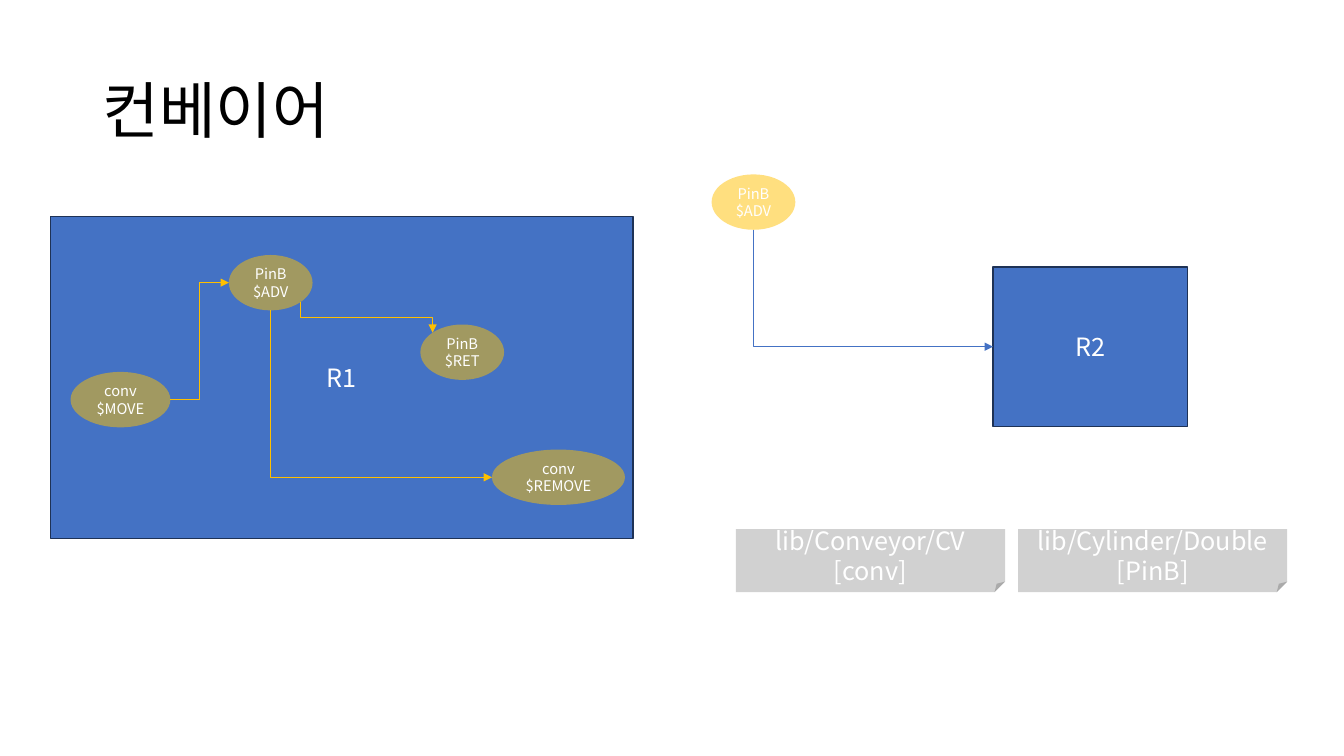
from lxml import etree
from pptx import Presentation
from pptx.dml.color import RGBColor
from pptx.enum.shapes import MSO_CONNECTOR as Connector, MSO_SHAPE as Shape
from pptx.enum.text import MSO_ANCHOR as Anchor, PP_ALIGN as Align
from pptx.oxml.ns import qn
from pptx.util import Inches, Pt

FONT = "Noto Sans CJK KR"
BLUE, NAVY, AMBER, GREY = "4472C4", "1E3256", "FFC000", "A5A5A5"
WHITE, BLACK = "FFFFFF", "000000"
# The grid has 100 columns and 100 rows.
COLUMN, ROW = Inches(13.333) / 100, Inches(7.5) / 100
NODE_HEIGHT, PIN_WIDTH = 7.33, 6.23
LEFT, RIGHT, BOTTOM = (0, 0.5), (1, 0.5), (0.5, 1)
UPPER_LEFT, LOWER_RIGHT = (0.146, 0.146), (0.854, 0.854)


def color(value):
    return RGBColor.from_string(value)


def grid(left, top, width, height):
    return [round(n * unit) for n, unit in
            zip((left, top, width, height), (COLUMN, ROW) * 2)]


def write(shape, lines, size, ink=WHITE, align=Align.CENTER, spacing=1.0):
    frame = shape.text_frame
    frame.word_wrap = True
    frame.vertical_anchor = Anchor.MIDDLE
    for index, line in enumerate(lines):
        para = frame.add_paragraph() if index else frame.paragraphs[0]
        para.alignment, para.line_spacing = align, spacing
        span = para.add_run()
        span.text = line
        for name, value in {"name": FONT, "size": Pt(size)}.items():
            setattr(span.font, name, value)
        span.font.color.rgb = color(ink)
        etree.SubElement(span.font._element, qn("a:ea"), typeface=FONT)


def add_block(shapes, preset, cells, lines, fill, size=18, outline=None, opacity=None):
    block = shapes.add_shape(preset, *grid(*cells))
    block.shadow.inherit = False
    block.fill.solid()
    block.fill.fore_color.rgb = color(fill)
    if opacity:
        tint = block.fill._xPr.find(f"{qn('a:solidFill')}/{qn('a:srgbClr')}")
        etree.SubElement(tint, qn("a:alpha"), val=str(opacity * 1000))
    if outline:
        block.line.color.rgb = color(outline)
        block.line.width = Pt(1)
    else:
        block.line.fill.background()
    write(block, lines, size)
    return block


def add_robot(shapes, name, *cells):
    return add_block(shapes, Shape.RECTANGLE, cells, [name], BLUE, outline=NAVY)


def add_node(shapes, label, left, top, width=PIN_WIDTH):
    cells = left, top, width, NODE_HEIGHT
    return add_block(shapes, Shape.OVAL, cells, [label], AMBER, 10.5, opacity=50)


def add_library(shapes, left, lines):
    cells = left, 70, 20.03, 8.33
    return add_block(shapes, Shape.FOLDED_CORNER, cells, lines, GREY, opacity=50)


def site(shape, share):
    """Return the point at the given shares of a shape's width and height."""
    return (round(shape.left + shape.width * share[0]),
            round(shape.top + shape.height * share[1]))


def add_arrow(shapes, source, exit_at, target, enter_at, bends=2, downward=True, ink=AMBER):
    """Link two shapes by an elbow; a downward one leaves its source vertically."""
    (x1, y1), (x2, y2) = site(source, exit_at), site(target, enter_at)
    if downward:
        # The frame is turned a quarter about its centre, so its sides swap.
        middle_x, middle_y = (x1 + x2) // 2, (y1 + y2) // 2
        half_x, half_y = (y2 - y1) // 2, (x2 - x1) // 2
        x1, x2 = middle_x + half_x, middle_x - half_x
        y1, y2 = middle_y - half_y, middle_y + half_y
    arrow = shapes.add_connector(Connector.ELBOW, x1, y1, x2, y2)
    properties = arrow._element.spPr
    if downward:
        properties.find(qn("a:xfrm")).set("rot", str(270 * 60000))
    properties.find(qn("a:prstGeom")).set("prst", f"bentConnector{bends + 1}")
    arrow.line.color.rgb = color(ink)
    arrow.line.width = Pt(0.5)
    etree.SubElement(properties.find(qn("a:ln")), qn("a:tailEnd"), type="triangle")
    etree.SubElement(properties, qn("a:effectLst"))


def add_conveyor_robot(page):
    shapes = page.shapes.add_group_shape().shapes
    add_robot(shapes, "R1", 3.75, 28.67, 43.35, 42.53)
    move = add_node(shapes, "conv $MOVE", 5.25, 49.2, 7.43)
    remove = add_node(shapes, "conv $REMOVE", 36.6, 59.47, 9.9)
    advance = add_node(shapes, "PinB $ADV", 17.03, 33.73)
    retract = add_node(shapes, "PinB $RET", 31.28, 42.93)
    add_arrow(shapes, advance, LOWER_RIGHT, retract, UPPER_LEFT)
    add_arrow(shapes, move, RIGHT, advance, LEFT, downward=False)
    add_arrow(shapes, advance, BOTTOM, remove, LEFT, bends=1)


def main():
    deck = Presentation()
    deck.slide_width, deck.slide_height = Inches(13.333), Inches(7.5)
    page = deck.slides.add_slide(deck.slide_layouts[6])
    title = page.shapes.add_textbox(*grid(6.9, 5.33, 86.25, 19.33))
    write(title, ["컨베이어"], 44, BLACK, Align.LEFT, 0.9)
    add_library(page.shapes, 54.75, ["lib/Conveyor/CV", "[conv]"])
    add_conveyor_robot(page)
    add_library(page.shapes, 75.75, ["lib/Cylinder/Double", "[PinB]"])
    advance = add_node(page.shapes, "PinB $ADV", 52.95, 23.07)
    robot = add_robot(page.shapes, "R2", 73.88, 35.33, 14.48, 21.07)
    add_arrow(page.shapes, advance, BOTTOM, robot, LEFT, bends=1, ink=BLUE)
    deck.save("out.pptx")


if __name__ == "__main__":
    main()
